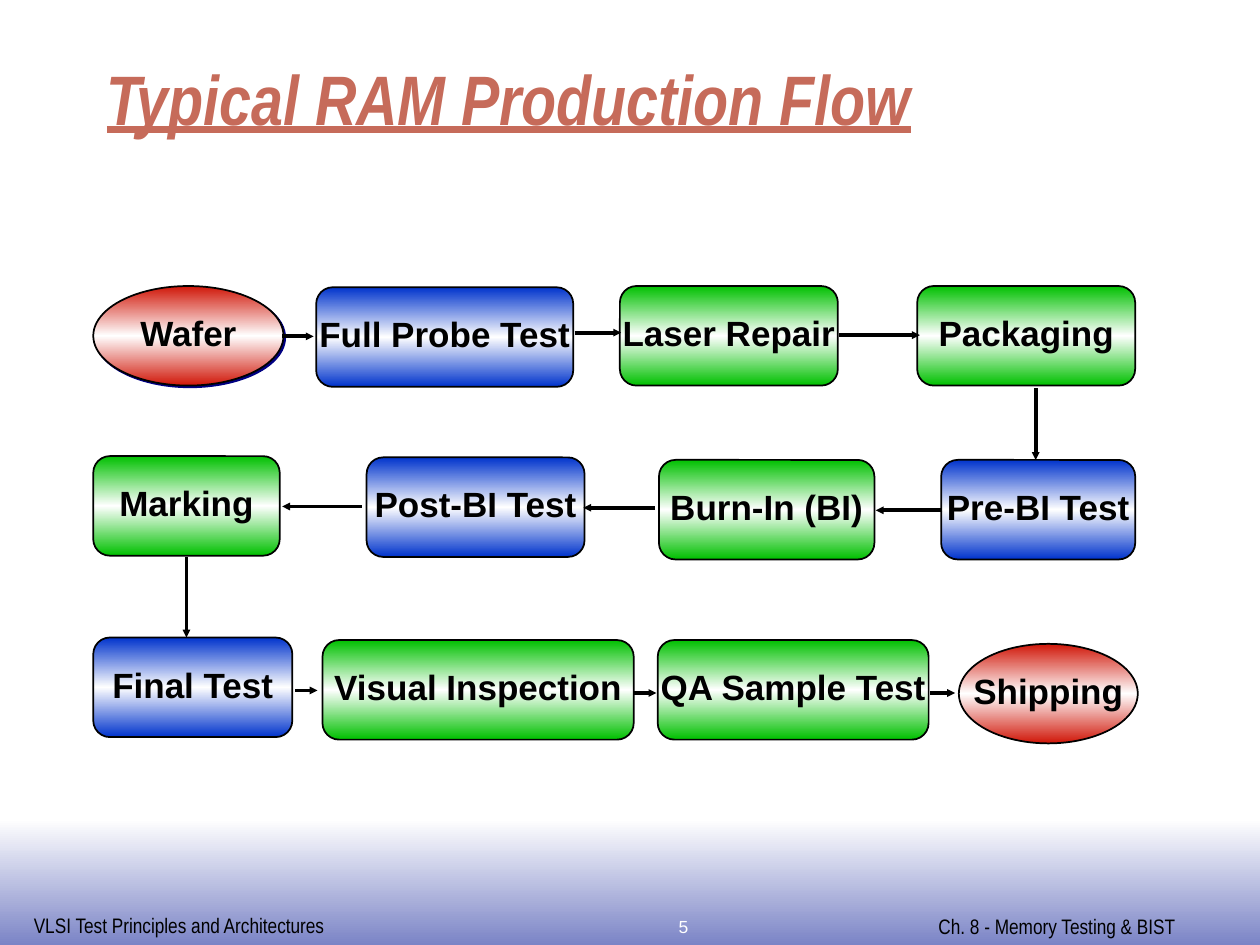
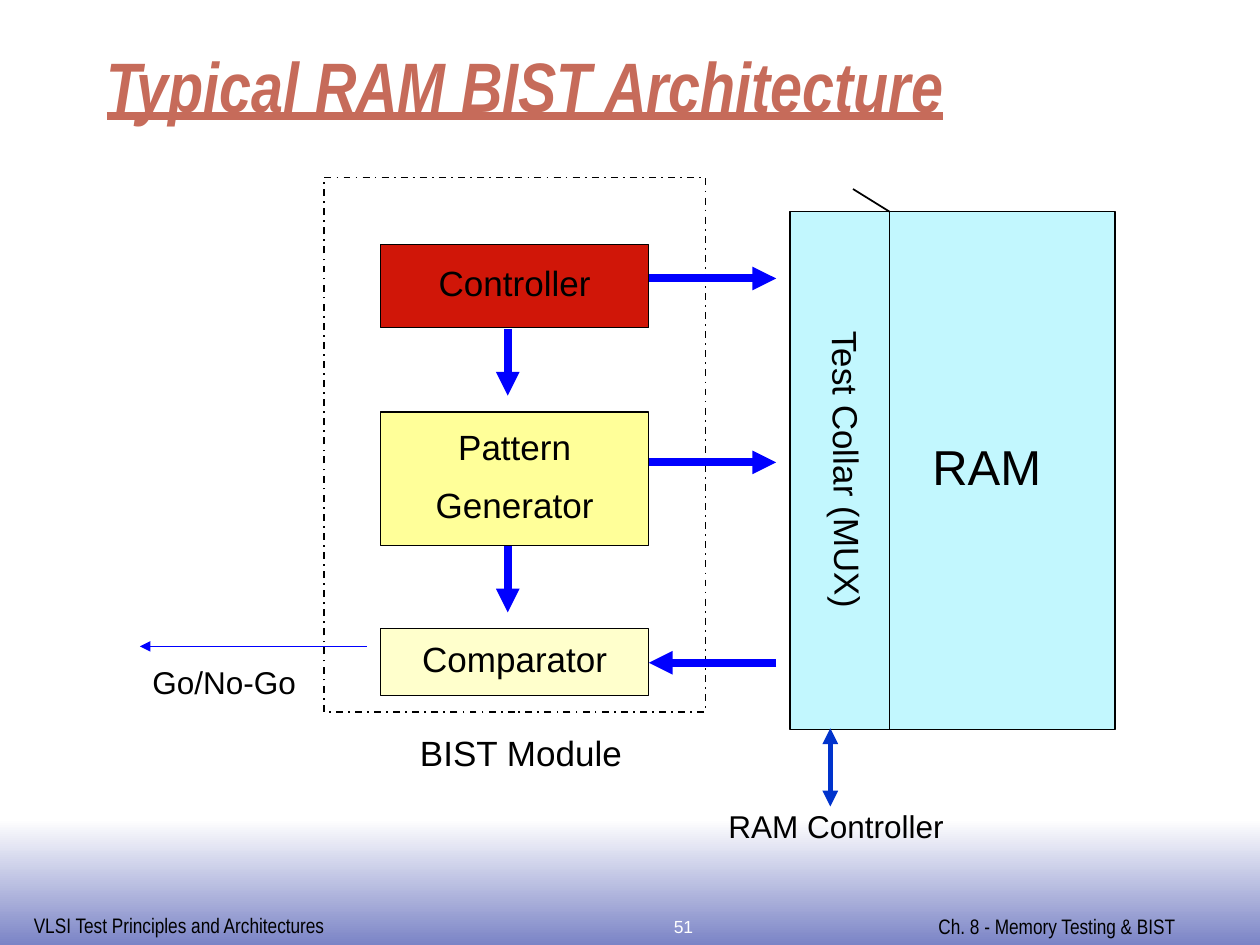
"""Build two slides on RAM production flow and RAM self-test."""
from copy import deepcopy

from lxml import etree
from pptx import Presentation
from pptx.dml.color import RGBColor
from pptx.enum.dml import MSO_LINE
from pptx.enum.shapes import MSO_CONNECTOR, MSO_SHAPE
from pptx.enum.text import MSO_ANCHOR, PP_ALIGN
from pptx.oxml.ns import qn
from pptx.util import Inches, Pt

RECT, ROUND, OVAL = MSO_SHAPE.RECTANGLE, MSO_SHAPE.ROUNDED_RECTANGLE, MSO_SHAPE.OVAL
STRAIGHT, DASH = MSO_CONNECTOR.STRAIGHT, MSO_LINE.DASH_DOT
LEFT, MID = PP_ALIGN.LEFT, PP_ALIGN.CENTER
TOP, CENTRE, BASE = MSO_ANCHOR.TOP, MSO_ANCHOR.MIDDLE, MSO_ANCHOR.BOTTOM

BLACK = RGBColor(0x00, 0x00, 0x00)
WHITE = RGBColor(0xFF, 0xFF, 0xFF)
CLAY = RGBColor(0xC6, 0x6B, 0x5A)
LILAC = RGBColor(0x7B, 0x84, 0xC6)
RED = RGBColor(0xD0, 0x16, 0x08)
BLUE = RGBColor(0x00, 0x33, 0xCC)
GREEN = RGBColor(0x00, 0xC0, 0x00)
BRIGHT = RGBColor(0x00, 0x00, 0xFF)
AQUA = RGBColor(0xC2, 0xF7, 0xFE)
YELLOW = RGBColor(0xFF, 0xFF, 0x99)
CREAM = RGBColor(0xFF, 0xFF, 0xCC)

TITLE = dict(name="Arial Narrow", size=Pt(40), bold=True, italic=True, underline=True)
FOOT = dict(name="Arial Narrow", size=Pt(12))
PAGE = dict(name="Arial", size=Pt(10))
STEP = dict(name="Arial", size=Pt(20), bold=True)
LABEL = dict(name="Arial", size=Pt(20))
NOTE = dict(name="Arial", size=Pt(18))
LARGE = dict(name="Arial", size=Pt(28))
TIGHT = dict(alignment=MID, line_spacing=0.85)


def put(slide, area, text="", font=LABEL, color=BLACK, para=TIGHT, anchor=CENTRE,
        kind=None, fill=(), edge=0, wrap=False):
    area = [Inches(n) for n in area]
    if kind is None:
        shape = slide.shapes.add_textbox(*area)
    else:
        shape = slide.shapes.add_shape(kind, *area)
        shape.shadow.inherit = False
        if len(fill) > 1:
            shape.fill.gradient()
            shape.fill.gradient_angle = 270
            stops = shape.element.spPr.find(".//" + qn("a:gsLst"))
            for _ in fill[2:]:
                stops.append(deepcopy(stops[0]))
            for i, stop in enumerate(shape.fill.gradient_stops):
                stop.color.rgb = fill[i]
                stop.position = i / (len(fill) - 1)
        elif fill:
            shape.fill.solid()
            shape.fill.fore_color.rgb = fill[0]
        else:
            shape.fill.background()
        if edge:
            shape.line.color.rgb = BLACK
            shape.line.width = Pt(edge)
        else:
            shape.line.fill.background()
    frame = shape.text_frame
    frame.word_wrap = wrap
    frame.vertical_anchor = anchor
    if text:
        frame.text = text
        for par in frame.paragraphs:
            for key, value in para.items():
                setattr(par, key, value)
            if para is TIGHT:
                par.space_before = int(font["size"] * 0.625)
            for run in par.runs:
                for key, value in font.items():
                    setattr(run.font, key, value)
                run.font.color.rgb = color
    return shape


def link(slide, ends, color, width, tips=("tailEnd",), size="med"):
    line = slide.shapes.add_connector(STRAIGHT, *[Inches(n) for n in ends])
    line.line.color.rgb = color
    line.line.width = Pt(width)
    props = line.element.spPr
    for tip in tips:
        etree.SubElement(props.find(qn("a:ln")), qn("a:" + tip),
                         type="triangle", w=size, len=size)
    etree.SubElement(props, qn("a:effectLst"))


deck = Presentation()
deck.slide_width, deck.slide_height = Inches(10), Inches(7.5)

pages = []
for title, top, height, number in [
    ("Typical RAM Production Flow", 0.32, 0.84, "5"),
    ("Typical RAM BIST Architecture", 0.25, 0.8, "51"),
]:
    slide = deck.slides.add_slide(deck.slide_layouts[6])
    put(slide, (0, 6.5, 10, 1), kind=RECT, fill=(WHITE, LILAC))
    for left, low, width, text in [
        (0.17, 7.19, 2.53, "VLSI Test Principles and Architectures"),
        (7.35, 7.2, 2.57, "Ch. 8 - Memory Testing & BIST"),
    ]:
        put(slide, (left, low, width, 0.3), text, FOOT,
            para=dict(alignment=LEFT), anchor=TOP, wrap=True)
    put(slide, (4.26, 7.22, 2.33, 0.28), number, PAGE, WHITE,
        dict(alignment=MID), TOP, wrap=True)
    put(slide, (0.75, top, 8.5, height), title, TITLE, CLAY,
        dict(alignment=LEFT), BASE, wrap=True)
    pages.append(slide)
flow, arch = pages

steps = {}
for name, left, top, width, color in [
    ("Wafer", 0.74, 2.27, 1.51, RED),
    ("Full Probe Test", 2.51, 2.28, 2.04, BLUE),
    ("Laser Repair", 4.92, 2.27, 1.73, GREEN),
    ("Packaging", 7.28, 2.27, 1.73, GREEN),
    ("Pre-BI Test", 7.47, 3.65, 1.54, BLUE),
    ("Burn-In (BI)", 5.23, 3.65, 1.71, GREEN),
    ("Post-BI Test", 2.91, 3.63, 1.73, BLUE),
    ("Marking", 0.74, 3.62, 1.48, GREEN),
    ("Final Test", 0.74, 5.06, 1.58, BLUE),
    ("Visual Inspection", 2.56, 5.08, 2.47, GREEN),
    ("QA Sample Test", 5.22, 5.08, 2.15, GREEN),
    ("Shipping", 7.61, 5.11, 1.42, RED),
]:
    steps[name] = put(flow, (left, top, width, 0.79), name, STEP,
                      kind=OVAL if color == RED else ROUND,
                      fill=(color, WHITE, color), edge=1)

glow = steps["Wafer"].element.spPr.find(qn("a:effectLst"))
shade = etree.SubElement(glow, qn("a:outerShdw"), dist=str(Pt(1.4)), dir="2700000")
etree.SubElement(shade, qn("a:srgbClr"), val="000082")

for ends in [
    (2.24, 2.67, 2.49, 2.67), (4.56, 2.64, 4.93, 2.64), (6.66, 2.66, 7.3, 2.66),
    (8.22, 3.08, 8.22, 3.65),
    (7.48, 4.05, 6.95, 4.05), (5.2, 4.03, 4.63, 4.03), (2.87, 4.02, 2.24, 4.02),
    (1.48, 4.42, 1.48, 5.06),
    (2.34, 5.48, 2.52, 5.48), (5.03, 5.5, 5.21, 5.5), (7.38, 5.5, 7.58, 5.5),
]:
    link(flow, ends, BLACK, 2.24, size="sm")

ram = put(arch, (6.27, 1.68, 2.58, 4.11), "RAM", LARGE, kind=RECT, fill=(AQUA,), edge=0.74)
ram.text_frame.margin_left = Inches(0.64)
for ends in [(7.06, 1.68, 7.06, 5.79), (6.77, 1.5, 7.06, 1.68)]:
    link(arch, ends, BLACK, 1, ())
collar = put(arch, (5.27, 3.53, 2.85, 0.39), "Test Collar (MUX)", anchor=TOP, wrap=True)
collar.rotation = 89.4

frame = put(arch, (2.57, 1.41, 3.03, 4.24), kind=RECT, edge=1)
frame.line.dash_style = DASH
for text, top, height, color in [
    ("Controller", 1.94, 0.66, RED),
    ("Pattern\nGenerator", 3.27, 1.06, YELLOW),
    ("Comparator", 4.99, 0.53, CREAM),
]:
    put(arch, (3.02, top, 2.13, height), text, kind=RECT, fill=(color,), edge=0.74)

for ends in [
    (5.15, 2.21, 6.16, 2.21), (5.15, 3.67, 6.16, 3.67), (6.16, 5.26, 5.15, 5.26),
    (4.03, 2.61, 4.03, 3.14), (4.03, 4.33, 4.03, 4.86),
]:
    link(arch, ends, BRIGHT, 4.5)
link(arch, (2.91, 5.13, 1.11, 5.13), BRIGHT, 1)
link(arch, (6.59, 5.78, 6.59, 6.4), BLUE, 3, ("headEnd", "tailEnd"))

put(arch, (3.23, 5.8, 1.81, 0.39), "BIST Module")
for text, left, top, width in [
    ("Go/No-Go", 1.11, 5.26, 1.34),
    ("RAM Controller", 5.68, 6.4, 1.91),
]:
    put(arch, (left, top, width, 0.36), text, NOTE, anchor=TOP)

deck.save("out.pptx")
